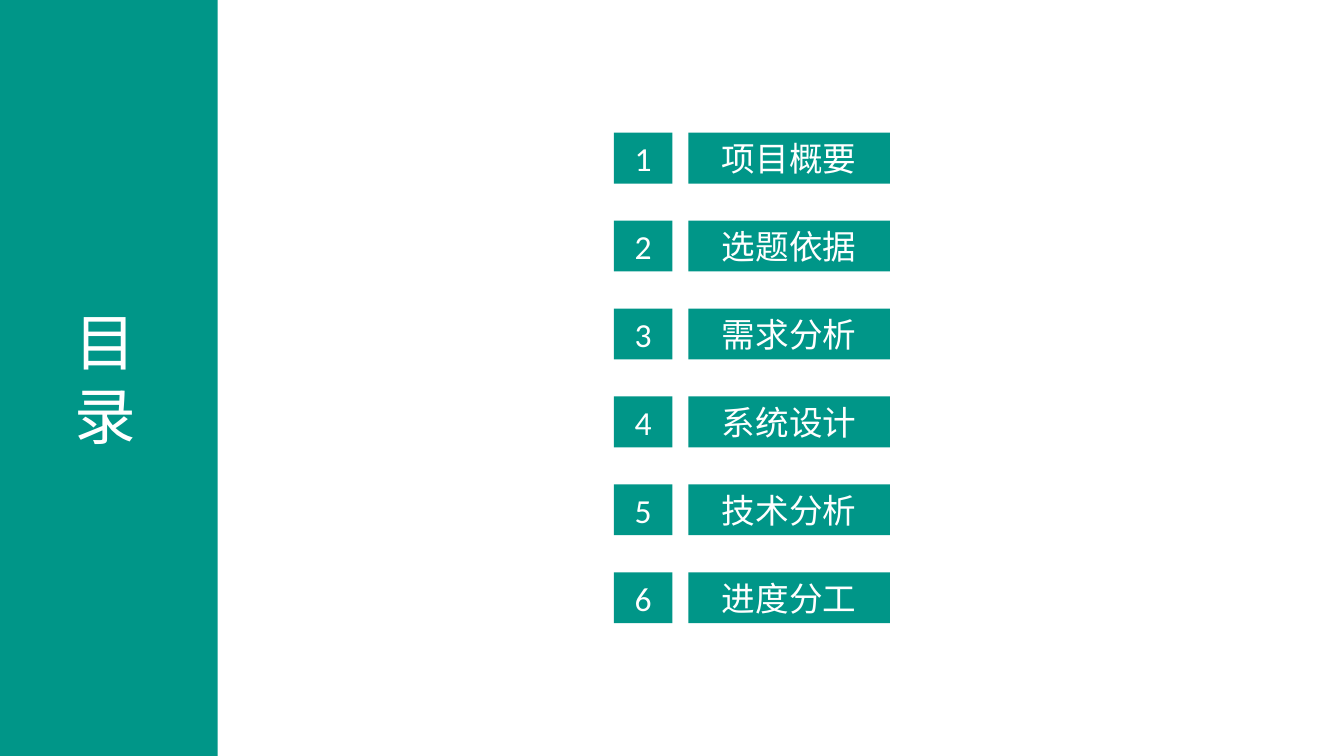
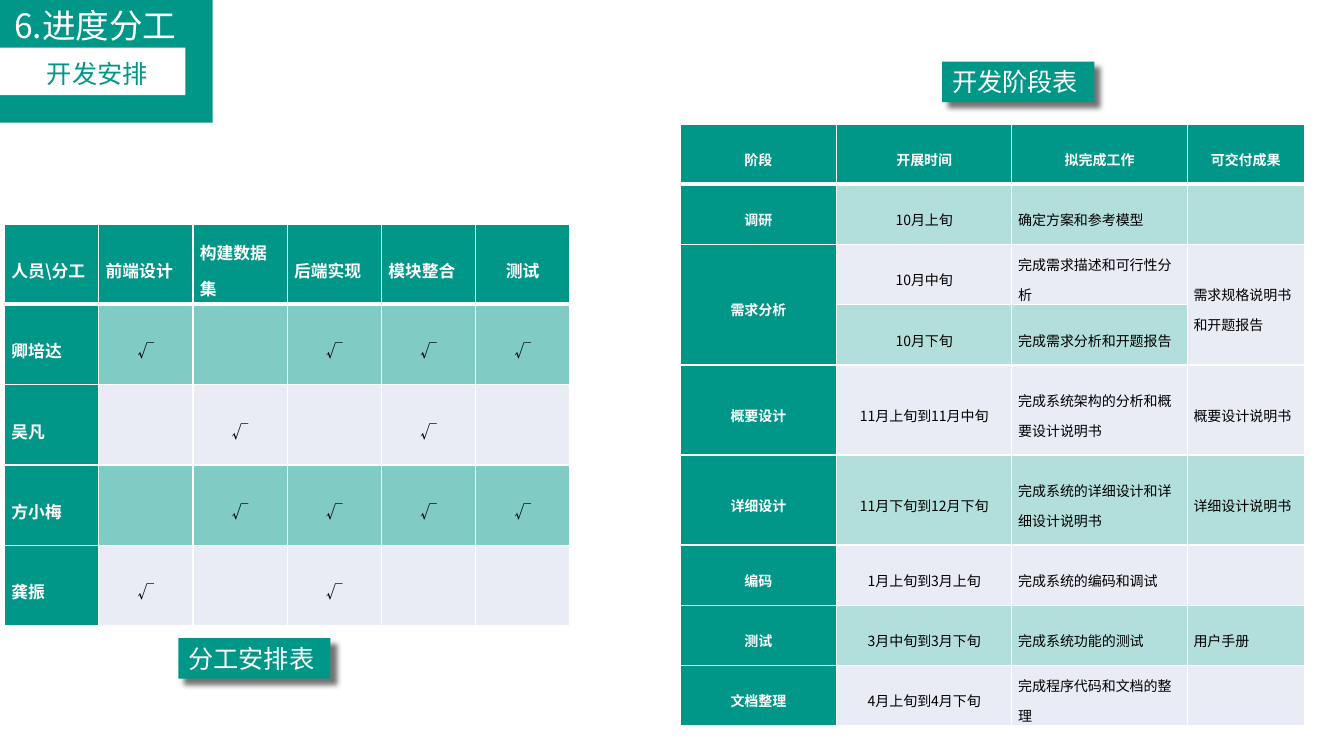
from lxml import etree
from pptx import Presentation
from pptx.dml.color import RGBColor
from pptx.enum import shapes, text
from pptx.oxml.ns import qn
from pptx.util import Pt

TEAL, WHITE, BLACK, PALE = "009688", "FFFFFF", "000000", "E9EBF5"
CJK = "Noto Sans CJK SC"
LEFT, CENTER = text.PP_ALIGN.LEFT, text.PP_ALIGN.CENTER


def write(p, words, size, color, align, font=CJK, bold=False):
    """Fill one paragraph, with the CJK font for its Chinese characters."""
    p.text = words
    p.alignment = align
    p.font.size = Pt(size)
    p.font.bold = bold
    p.font.color.rgb = RGBColor.from_string(color)
    p.font.name = font
    etree.SubElement(p._p.pPr.find(qn("a:defRPr")), qn("a:ea"), typeface=CJK)


def box(s, x, y, w, h, fill, words="", size=18, color=WHITE, align=CENTER, font=CJK):
    """Add a borderless rectangle; left-aligned text keeps a side inset."""
    sp = s.shapes.add_shape(shapes.MSO_SHAPE.RECTANGLE, Pt(x), Pt(y), Pt(w), Pt(h))
    sp.shadow.inherit = False
    sp.line.fill.background()
    if fill:
        sp.fill.solid()
        sp.fill.fore_color.rgb = RGBColor.from_string(fill)
    else:
        sp.fill.background()
    if words:
        tf = sp.text_frame
        tf.word_wrap = True
        tf.vertical_anchor = text.MSO_ANCHOR.MIDDLE
        tf.margin_left = tf.margin_right = Pt(7.2 if align == LEFT else 0)
        write(tf.paragraphs[0], words, size, color, align, font)
    return sp


prs = Presentation()
prs.slide_width, prs.slide_height = Pt(960), Pt(540)
blank = prs.slide_layouts[6]

# Contents
s = prs.slides.add_slide(blank)
box(s, 0, 0, 155.5, 540, TEAL)
box(s, 46, 213, 64, 114, None, "目录", 44, align=LEFT, font="Calibri")
chapters = ["项目概要", "选题依据", "需求分析", "系统设计", "技术分析", "进度分工"]
for i, chapter in enumerate(chapters):
    y = 94.8 + 62.8 * i
    box(s, 438.5, y, 41.8, 36.3, TEAL, str(i + 1), 24, font="Calibri")
    box(s, 491.7, y, 144, 36.3, TEAL, chapter, 24, font="Calibri")

# Schedule and division of work
s = prs.slides.add_slide(blank)
box(s, -0.7, -0.7, 152.6, 88.4, TEAL)
box(s, -0.7, 0, 137.5, 36.3, TEAL, "6.进度分工", 24)
box(s, -0.7, 34, 133.2, 34, WHITE)
box(s, 2.9, 38.2, 133.2, 29, None, "开发安排", 18, TEAL)

stages = [
    ["阶段", "开展时间", "拟完成工作", "可交付成果"],
    ["调研", "10月上旬", "确定方案和参考模型", ""],
    ["需求分析", "10月中旬", "完成需求描述和可行性分析", "需求规格说明书和开题报告"],
    ["", "10月下旬", "完成需求分析和开题报告", ""],
    ["概要设计", "11月上旬到11月中旬", "完成系统架构的分析和概要设计说明书", "概要设计说明书"],
    ["详细设计", "11月下旬到12月下旬", "完成系统的详细设计和详细设计说明书", "详细设计说明书"],
    ["编码", "1月上旬到3月上旬", "完成系统的编码和调试", ""],
    ["测试", "3月中旬到3月下旬", "完成系统功能的测试", "用户手册"],
    ["文档整理", "4月上旬到4月下旬", "完成程序代码和文档的整理", ""],
]
duties = [
    ["人员\\分工", "前端设计", "构建数据集", "后端实现", "模块整合", "测试"],
    ["卿培达", "√", "", "√", "√", "√"],
    ["吴凡", "", "√", "", "√", ""],
    ["方小梅", "", "√", "√", "√", "√"],
    ["龚振", "√", "", "√", "", ""],
]
# rows, left, top, column widths, row heights, size, inset, band, header and body alignment
tables = [
    (stages, 486, 88.6, [111.5, 125.3, 125.3, 83.5], [43] * 4 + [64.3] * 2 + [43] * 3,
     10, 4.5, "B2DFDB", "CCCC", "CCLL"),
    (duties, 3.2, 160, [67.3] * 6, [57.4] * 5, 12, 5, "80CBC4", "LLLLLC", "LCCCCC"),
]
for rows, x, y, widths, heights, size, inset, band, head, body in tables:
    frame = s.shapes.add_table(len(rows), len(widths), Pt(x), Pt(y),
                               Pt(sum(widths)), Pt(sum(heights)))
    table = frame.table
    for column, width in zip(table.columns, widths):
        column.width = Pt(width)
    for i, row in enumerate(rows):
        table.rows[i].height = Pt(heights[i])
        for j, words in enumerate(row):
            cell = table.cell(i, j)
            heading = i == 0 or j == 0
            tcPr = cell._tc.get_or_add_tcPr()
            for side in "LRTB":
                width = 3 if (side, i) in (("B", 0), ("T", 1)) else 1
                ln = etree.SubElement(tcPr, qn("a:ln" + side), w=str(Pt(width)))
                fill = etree.SubElement(ln, qn("a:solidFill"))
                etree.SubElement(fill, qn("a:srgbClr"), val=WHITE)
            cell.fill.solid()
            color = TEAL if heading else band if i % 2 else PALE
            cell.fill.fore_color.rgb = RGBColor.from_string(color)
            cell.vertical_anchor = text.MSO_ANCHOR.MIDDLE
            cell.margin_left = cell.margin_right = Pt(inset)
            cell.margin_top = cell.margin_bottom = 0
            if words:
                p = cell.text_frame.paragraphs[0]
                p.line_spacing = 1.5
                align = CENTER if (body if i else head)[j] == "C" else LEFT
                write(p, words, size, WHITE if heading else BLACK, align, bold=heading)
    if rows is stages:
        for j in (0, 3):
            table.cell(2, j).merge(table.cell(3, j))

for caption, x, y in [("分工安排表", 127.4, 455.8), ("开发阶段表", 673, 44)]:
    sp = box(s, x, y, 108.7, 29, TEAL, caption, align=LEFT)
    effects = sp._element.spPr.find(qn("a:effectLst"))
    shadow = etree.SubElement(effects, qn("a:outerShdw"), blurRad=str(Pt(4)),
                              dist=str(Pt(6)), dir="2700000", algn="tl")
    shade = etree.SubElement(shadow, qn("a:srgbClr"), val=BLACK)
    etree.SubElement(shade, qn("a:alpha"), val="55000")

prs.save("out.pptx")
